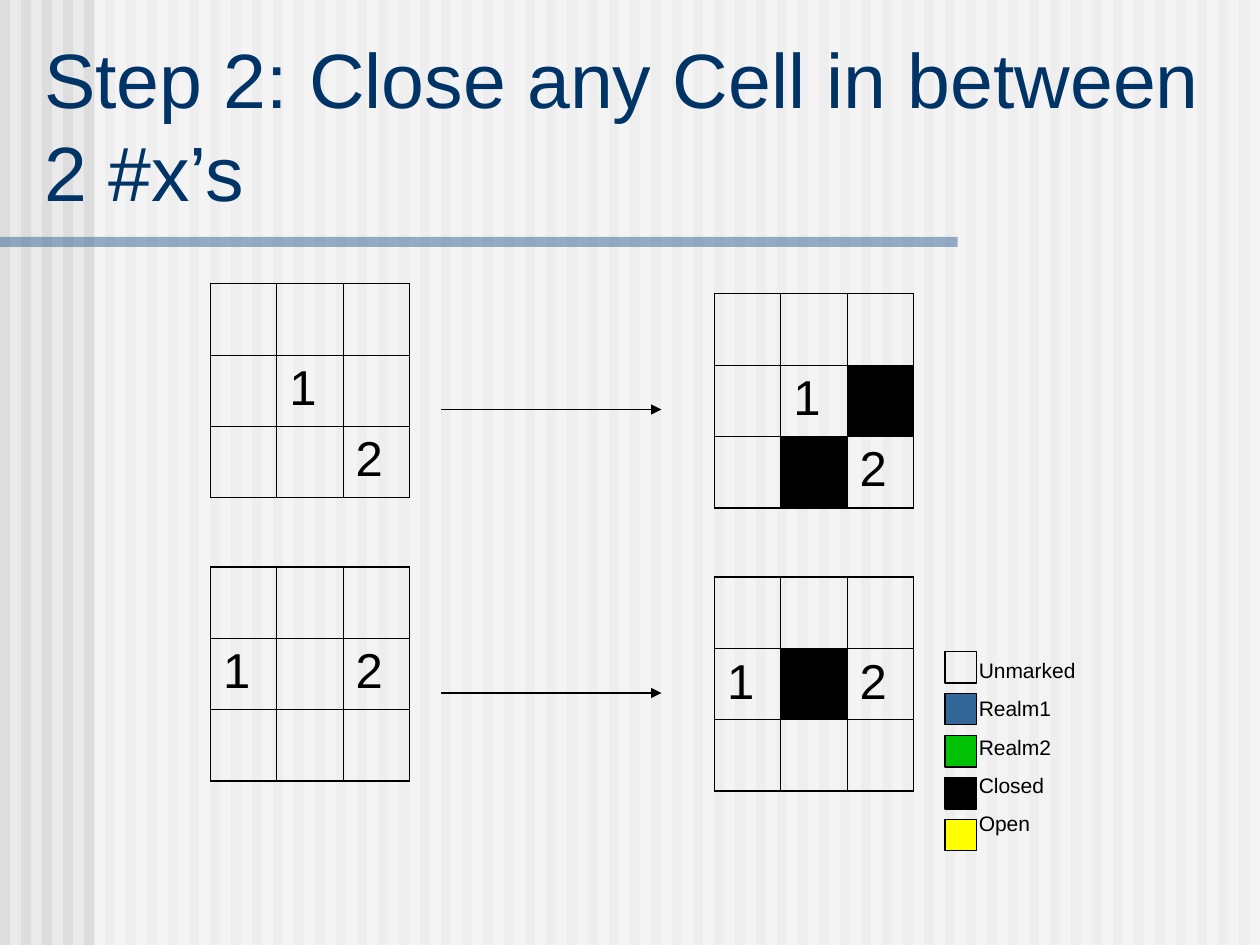
from dataclasses import dataclass

from lxml.etree import SubElement
from pptx import Presentation
from pptx.dml.color import RGBColor as Color
from pptx.enum.shapes import MSO_CONNECTOR as Connector, MSO_SHAPE as Shape
from pptx.enum.text import MSO_ANCHOR as Anchor, MSO_AUTO_SIZE as AutoSize, PP_ALIGN as Align
from pptx.oxml import parse_xml
from pptx.oxml.ns import nsdecls, qn
from pptx.util import Inches, Pt


@dataclass(frozen=True)
class Theme:
    font: str = "Arial"
    paper: str = "EAEAEA"
    stripe: str = "DDDDDD"
    veil: str = "FFFFFF"
    navy: str = "003366"
    blue: str = "336699"
    green: str = "00C106"
    yellow: str = "FFFF00"
    black: str = "000000"
    title_size: float = 44
    cell_size: float = 28
    legend_size: float = 12
    line: float = 0.75
    outer_border: float = 1.08
    inner_border: float = 0.45


theme = Theme()


def write(para, text, size, color=theme.black, before=0):
    para.alignment = Align.LEFT
    para.space_before = Pt(before)
    for index, line in enumerate(text.split("\n")):
        if index:
            para.add_line_break()
        span = para.add_run()
        span.text = line
        span.font.name = theme.font
        span.font.size = Pt(size)
        span.font.color.rgb = Color.from_string(color)


def add_rect(shapes, left, top, width, height, fill=None, outlined=False, opacity=100):
    rect = shapes.add_shape(
        Shape.RECTANGLE, Inches(left), Inches(top), Inches(width), Inches(height)
    )
    rect.shadow.inherit = False
    if fill:
        rect.fill.solid()
        rect.fill.fore_color.rgb = Color.from_string(fill)
    else:
        rect.fill.background()
    if opacity < 100:
        tint = rect.fill._xPr.find(".//" + qn("a:srgbClr"))
        SubElement(tint, qn("a:alpha"), val=str(opacity * 1000))
    if outlined:
        rect.line.color.rgb = Color.from_string(theme.black)
        rect.line.width = Pt(theme.line)
    else:
        rect.line.fill.background()


deck = Presentation()
deck.slide_width, deck.slide_height = Inches(10), Inches(7.5)
page = deck.slides.add_slide(deck.slide_layouts[5])
page.background.fill.solid()
page.background.fill.fore_color.rgb = Color.from_string(theme.paper)

backdrop = page.shapes.add_group_shape()
for index in range(60):
    add_rect(backdrop.shapes, index / 6, 0, 0.08, 7.5, fill=theme.stripe)
add_rect(backdrop.shapes, 0.75, 0, 9.25, 7.5, fill=theme.veil, opacity=50)
add_rect(backdrop.shapes, 0, 1.88, 7.6, 0.08, fill=theme.blue, opacity=50)

title = page.shapes.title
page.shapes._spTree.append(title._element)
title.left, title.top = Inches(0.25), Inches(0.58)
title.width, title.height = Inches(9.63), Inches(1.19)
title.text_frame.vertical_anchor = Anchor.BOTTOM
title.text_frame.auto_size = AutoSize.NONE
title.text_frame.word_wrap = True
write(
    title.text_frame.paragraphs[0],
    "Step 2: Close any Cell in between\n2 #x’s",
    size=theme.title_size,
    color=theme.navy,
)

grids = [
    (1.67, 2.25, ["   ", " 1 ", "  2"]),
    (5.67, 2.33, ["   ", " 1#", " #2"]),
    (1.67, 4.5, ["   ", "1 2", "   "]),
    (5.67, 4.58, ["   ", "1#2", "   "]),
]
for left, top, marks in grids:
    frame = page.shapes.add_table(3, 3, Inches(left), Inches(top), Inches(1.58), Inches(1.7))
    table = frame.table
    table.first_row = table.horz_banding = False
    for column in table.columns:
        column.width = Inches(1.58 / 3)
    for row in table.rows:
        row.height = Inches(1.7 / 3)
    for row, line in enumerate(marks):
        for column, mark in enumerate(line):
            cell = table.cell(row, column)
            if mark == "#":
                cell.fill.solid()
                cell.fill.fore_color.rgb = Color.from_string(theme.black)
            else:
                cell.fill.background()
            if mark.isdigit():
                write(cell.text_frame.paragraphs[0], mark, size=theme.cell_size, before=7)
            outer_sides = {"L": column == 0, "R": column == 2, "T": row == 0, "B": row == 2}
            for position, (side, outer) in enumerate(outer_sides.items()):
                width = Pt(theme.outer_border if outer else theme.inner_border)
                border = parse_xml(
                    f'<a:ln{side} {nsdecls("a")} w="{width}"><a:solidFill>'
                    f'<a:srgbClr val="{theme.black}"/></a:solidFill></a:ln{side}>'
                )
                cell._tc.get_or_add_tcPr().insert(position, border)

for height in (3.25, 5.5):
    arrow = page.shapes.add_connector(
        Connector.STRAIGHT, Inches(3.5), Inches(height), Inches(5.25), Inches(height)
    )
    arrow.line.color.rgb = Color.from_string(theme.black)
    arrow.line.width = Pt(theme.line)
    SubElement(arrow.line._get_or_add_ln(), qn("a:tailEnd"), type="triangle")
    SubElement(arrow._element.spPr, qn("a:effectLst"))

legend = {
    "Unmarked": None,
    "Realm1": theme.blue,
    "Realm2": theme.green,
    "Closed": theme.black,
    "Open": theme.yellow,
}
box = page.shapes.add_textbox(Inches(7.67), Inches(5.17), Inches(1.5), Inches(1.52))
box.text_frame.word_wrap = True
for index, (label, fill) in enumerate(legend.items()):
    add_rect(page.shapes, 7.5, 5.17 + index / 3, 0.25, 0.25, fill=fill, outlined=True)
    para = box.text_frame.add_paragraph() if index else box.text_frame.paragraphs[0]
    write(para, label, size=theme.legend_size, before=7.5)

deck.save("out.pptx")
